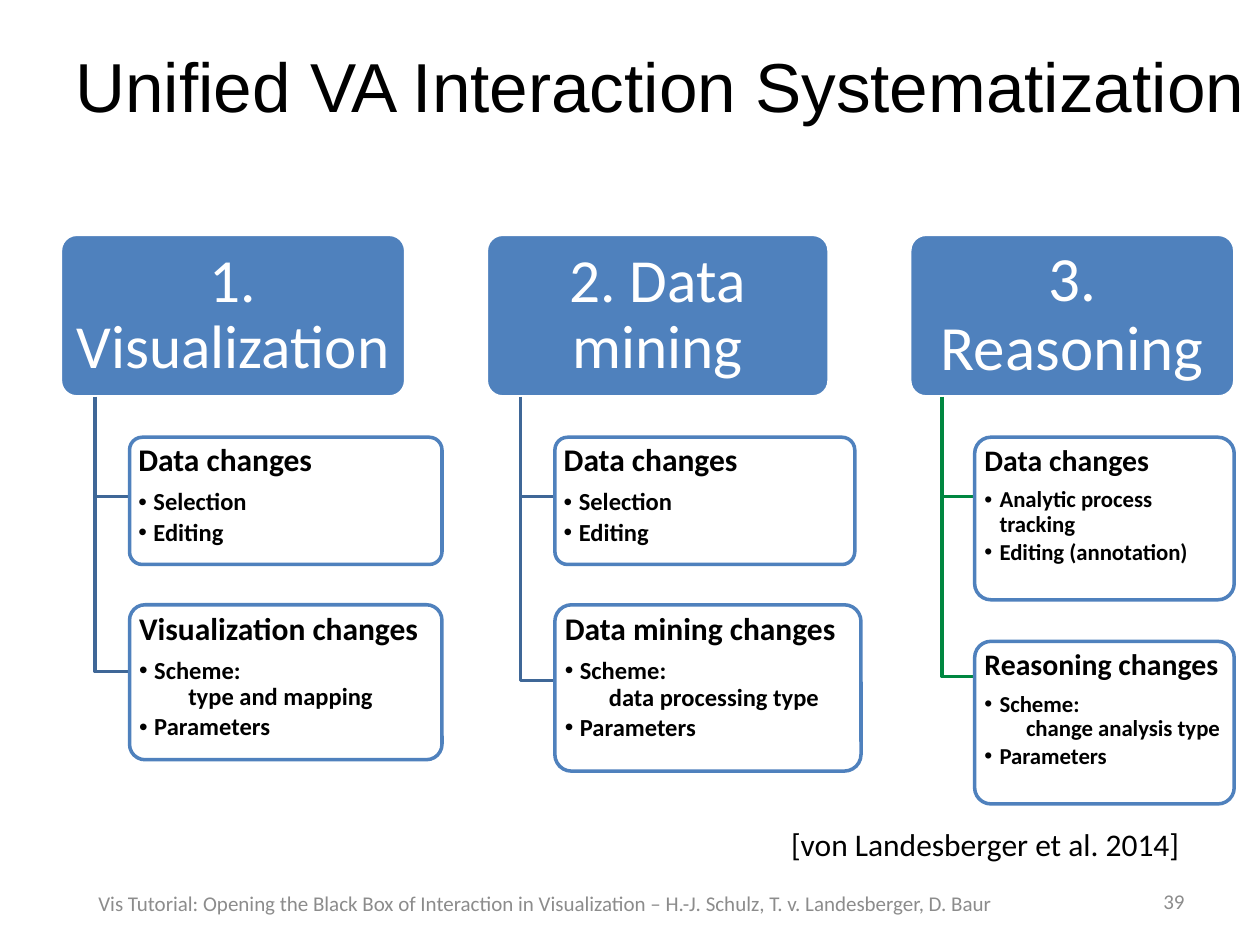
from lxml import etree
from pptx import Presentation
from pptx.dml.color import RGBColor
from pptx.enum.shapes import MSO_SHAPE
from pptx.enum.text import MSO_ANCHOR, PP_ALIGN
from pptx.oxml.ns import qn
from pptx.util import Inches, Pt

ROUNDED = MSO_SHAPE.ROUNDED_RECTANGLE
TOP, MIDDLE = MSO_ANCHOR.TOP, MSO_ANCHOR.MIDDLE
LEFT, CENTER, RIGHT = PP_ALIGN.LEFT, PP_ALIGN.CENTER, PP_ALIGN.RIGHT

BLACK = RGBColor(0x00, 0x00, 0x00)
WHITE = RGBColor(0xFF, 0xFF, 0xFF)
GRAY = RGBColor(0x8C, 0x8C, 0x8C)
BLUE = RGBColor(0x4F, 0x81, 0xBD)
DARK_BLUE = RGBColor(0x3F, 0x67, 0x97)
GREEN = RGBColor(0x00, 0x87, 0x40)

HEADER_TOP, HEADER_HEIGHT = 1.86, 1.29
HEADER_BOTTOM = HEADER_TOP + HEADER_HEIGHT
BULLET_INDENT = 0.12

# Each card: top, width, height, connector end, heading, items.
# An item is a bullet, or a bullet with a continuation line and its indent.
COLUMNS = [
    {
        "header": "1. Visualization", "left": 0.48, "width": 2.74,
        "sizes": (35, 18, 14), "connector": DARK_BLUE,
        "cards": [
            (3.47, 2.48, 1.01, 3.94, "Data changes", ["Selection", "Editing"]),
            (4.80, 2.48, 1.23, 5.33, "Visualization changes",
             [("Scheme:", "type and mapping", 0.39), "Parameters"]),
        ],
    },
    {
        "header": "2. Data mining", "left": 3.86, "width": 2.72,
        "sizes": (35, 18, 14), "connector": DARK_BLUE,
        "cards": [
            (3.47, 2.38, 1.01, 3.94, "Data changes", ["Selection", "Editing"]),
            (4.80, 2.43, 1.32, 5.40, "Data mining changes",
             [("Scheme:", "data processing type", 0.35), "Parameters"]),
        ],
    },
    {
        "header": "3. Reasoning", "left": 7.22, "width": 2.58,
        "sizes": (36, 17, 13), "connector": GREEN,
        "cards": [
            (3.47, 2.06, 1.29, 3.94, "Data changes",
             ["Analytic process tracking", "Editing (annotation)"]),
            (5.09, 2.06, 1.29, 5.37, "Reasoning changes",
             [("Scheme:", "change analysis type", 0.33), "Parameters"]),
        ],
    },
]


def format_runs(paragraph, size, color, font="Calibri", bold=False):
    for run in paragraph.runs:
        run.font.name = font
        run.font.size = Pt(size)
        run.font.bold = bold
        run.font.color.rgb = color


def set_indent(paragraph, left, bullet):
    properties = paragraph._p.get_or_add_pPr()
    properties.set("marL", str(Inches(left)))
    properties.set("indent", str(Inches(-left if bullet else 0)))
    if bullet:
        etree.SubElement(properties, qn("a:buFont")).set("typeface", "Arial")
        etree.SubElement(properties, qn("a:buChar")).set("char", "•")
    else:
        etree.SubElement(properties, qn("a:buNone"))


def add_label(slide, text, box, size, color, align=LEFT, anchor=TOP, font="Calibri", wrap=True):
    shape = slide.shapes.add_textbox(*map(Inches, box))
    frame = shape.text_frame
    frame.word_wrap = wrap
    frame.vertical_anchor = anchor
    frame.text = text
    frame.paragraphs[0].alignment = align
    format_runs(frame.paragraphs[0], size, color, font)


def add_rounded_box(slide, box, fill, line, inset_x, inset_y, anchor):
    shape = slide.shapes.add_shape(ROUNDED, *map(Inches, box))
    shape.shadow.inherit = False
    shape.adjustments[0] = 0.1
    shape.fill.solid()
    shape.fill.fore_color.rgb = fill
    shape.line.color.rgb = line
    shape.line.width = Pt(2)
    frame = shape.text_frame
    frame.word_wrap = True
    frame.vertical_anchor = anchor
    frame.margin_left = frame.margin_right = Inches(inset_x)
    frame.margin_top = frame.margin_bottom = Inches(inset_y)
    return shape


def add_header(slide, text, left, width, size):
    box = (left, HEADER_TOP, width, HEADER_HEIGHT)
    shape = add_rounded_box(slide, box, BLUE, WHITE, 0.07, 0.05, MIDDLE)
    shape.text_frame.text = text
    paragraph = shape.text_frame.paragraphs[0]
    paragraph.alignment = CENTER
    paragraph.line_spacing = 0.9
    format_runs(paragraph, size, WHITE)


def add_branch(slide, x, end_x, end_y, color):
    """Draw an elbow from the header's lower edge to a card."""
    builder = slide.shapes.build_freeform(Inches(x), Inches(HEADER_BOTTOM))
    builder.add_line_segments(
        [(Inches(x), Inches(end_y)), (Inches(end_x), Inches(end_y))], close=False)
    shape = builder.convert_to_shape()
    shape.shadow.inherit = False
    shape.fill.background()
    shape.line.color.rgb = color
    shape.line.width = Pt(2)


def add_card(slide, box, heading, items, heading_size, item_size):
    shape = add_rounded_box(slide, box, WHITE, BLUE, 0.04, 0.03, TOP)
    color = shape.fill._xPr.find(".//" + qn("a:srgbClr"))
    etree.SubElement(color, qn("a:alpha")).set("val", "90000")
    frame = shape.text_frame

    def write(paragraph, text, size, space):
        paragraph.text = text
        paragraph.alignment = LEFT
        paragraph.line_spacing = 0.9
        paragraph.space_after = Pt(size * space)
        format_runs(paragraph, size, BLACK, bold=True)

    write(frame.paragraphs[0], heading, heading_size, 0.35)
    for item in items:
        continued = isinstance(item, tuple)
        paragraph = frame.add_paragraph()
        set_indent(paragraph, BULLET_INDENT, bullet=True)
        write(paragraph, item[0] if continued else item, item_size, 0 if continued else 0.15)
        if continued:
            paragraph = frame.add_paragraph()
            set_indent(paragraph, item[2], bullet=False)
            write(paragraph, item[1], item_size, 0.15)


def add_column(slide, column):
    left, width = column["left"], column["width"]
    header_size, heading_size, item_size = column["sizes"]
    branch_x, card_left = left + width * 0.1, left + width * 0.2
    add_header(slide, column["header"], left, width, header_size)
    for top, card_width, height, branch_y, heading, items in column["cards"]:
        add_branch(slide, branch_x, card_left, branch_y, column["connector"])
        add_card(slide, (card_left, top, card_width, height),
                 heading, items, heading_size, item_size)


def main():
    presentation = Presentation()
    presentation.slide_width, presentation.slide_height = Inches(10), Inches(7.5)
    slide = presentation.slides.add_slide(presentation.slide_layouts[6])

    add_label(slide, "Unified VA Interaction Systematization", (-0.35, 0.05, 10.33, 1.25),
              39.6, BLACK, RIGHT, MIDDLE, "Arial")
    for column in COLUMNS:
        add_column(slide, column)
    add_label(slide, "[von Landesberger et al. 2014]", (6.18, 6.5, 3.62, 0.4), 18, BLACK)
    add_label(slide, "Vis Tutorial: Opening the Black Box of Interaction in Visualization"
              " – H.-J. Schulz, T. v. Landesberger, D. Baur",
              (0.51, 6.98, 7.64, 0.37), 12, GRAY, CENTER, MIDDLE)
    add_label(slide, "39", (7.17, 6.95, 2.33, 0.4), 12, GRAY, RIGHT, MIDDLE)

    presentation.save("out.pptx")


if __name__ == "__main__":
    main()
